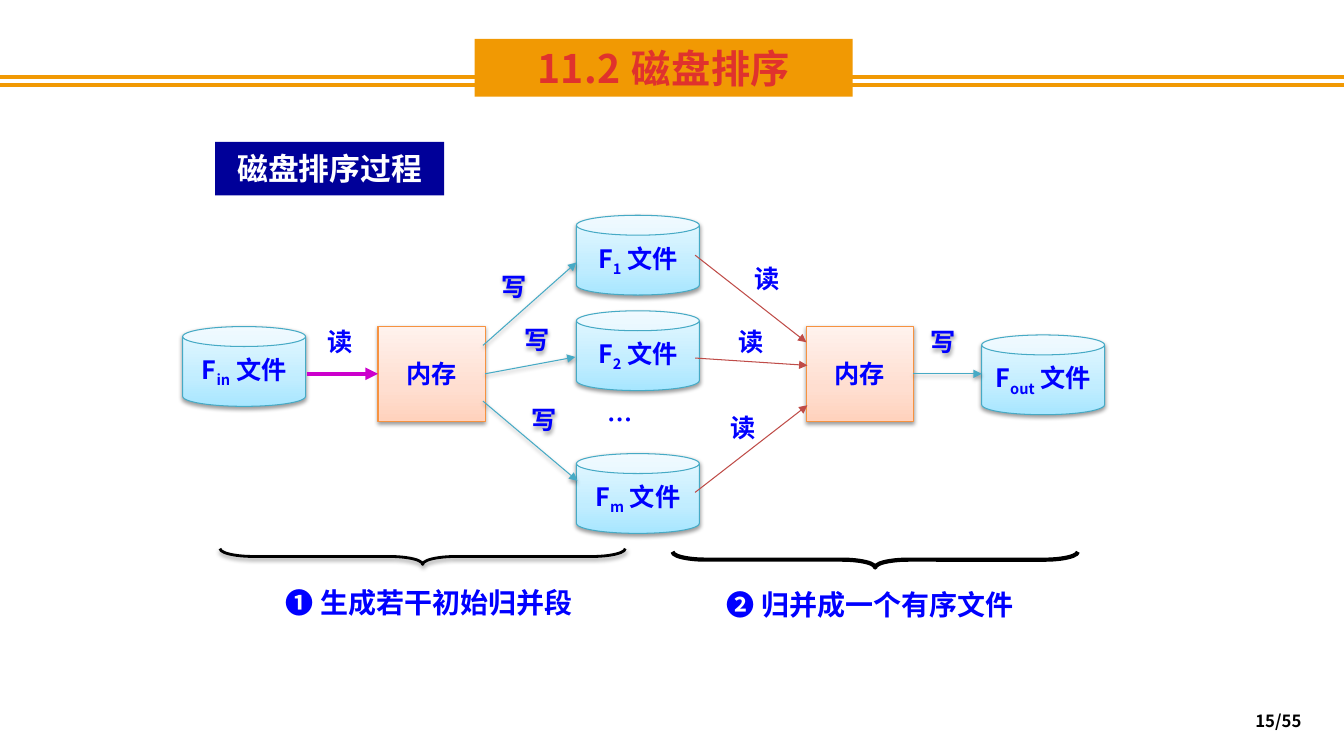
from lxml import etree
from pptx import Presentation
from pptx.dml.color import RGBColor
from pptx.enum.shapes import MSO_CONNECTOR, MSO_SHAPE
from pptx.enum.text import MSO_ANCHOR, MSO_AUTO_SIZE, PP_ALIGN
from pptx.oxml.ns import qn
from pptx.util import Emu, Pt

PX = 9525
FONT = "Noto Sans CJK SC"
RECT, CAN, BRACE = MSO_SHAPE.RECTANGLE, MSO_SHAPE.CAN, MSO_SHAPE.RIGHT_BRACE
STRAIGHT = MSO_CONNECTOR.STRAIGHT
CENTER, RIGHT = PP_ALIGN.CENTER, PP_ALIGN.RIGHT
MIDDLE, NO_FIT = MSO_ANCHOR.MIDDLE, MSO_AUTO_SIZE.NONE
SIDE_LEFT, SIDE_RIGHT = 1, 3

COLORS = {
    "orange": "F19903", "title": "E0322D", "navy": "000099", "white": "FFFFFF",
    "text": "0000FF", "black": "000000", "file_line": "46AAC5",
    "memory_line": "F69240", "magenta": "CC00CC", "red": "BF4C48",
}
FILE_STOPS = [(0, "A7E6FF"), (35, "C1EDFF"), (100, "E7F8FF")]
MEMORY_STOPS = [(0, "FFD2BD"), (35, "FFDED0"), (100, "FFF2ED")]


def px(*values):
    return [Emu(v * PX) for v in values]


def rgb(name):
    return RGBColor.from_string(COLORS[name])


def add_color(parent, value):
    return etree.SubElement(parent, qn("a:srgbClr"), val=value)


def add_shadow(effects):
    """Put a soft shadow, falling straight down, into an effect list."""
    shadow = etree.SubElement(effects, qn("a:outerShdw"), blurRad=str(Pt(3.1)),
                              dist=str(Pt(1.6)), dir="5400000", rotWithShape="0")
    etree.SubElement(add_color(shadow, COLORS["black"]), qn("a:alpha"), val="38000")


def shade(sp):
    sp.shadow.inherit = False
    add_shadow(sp._element.spPr.find(qn("a:effectLst")))


def fill_gradient(sp, stops):
    sp.fill.gradient()
    sp.fill.gradient_angle = 90
    stop_list = sp._element.spPr.find(".//" + qn("a:gsLst"))
    stop_list.clear()
    for position, color in stops:
        stop = etree.SubElement(stop_list, qn("a:gs"), pos=str(position * 1000))
        add_color(stop, color)


def write(sp, text, size, color="text", align=CENTER, wrap=False, inset=None):
    """Write one bold paragraph; text is a string or (text, baseline) pairs."""
    tf = sp.text_frame
    tf.word_wrap = wrap
    tf.auto_size = NO_FIT
    tf.vertical_anchor = MIDDLE
    if inset is not None:
        tf.margin_left = tf.margin_right = tf.margin_top = tf.margin_bottom = inset
    p = tf.paragraphs[0]
    p.alignment = align
    for part, baseline in [(text, 0)] if isinstance(text, str) else text:
        r = p.add_run()
        r.text = part
        if baseline:
            r._r.get_or_add_rPr().set("baseline", str(baseline * 1000))
    p.font.size = Pt(size)
    p.font.bold = True
    p.font.name = FONT
    p.font.color.rgb = rgb(color)
    etree.SubElement(p._p.pPr.find(qn("a:defRPr")), qn("a:ea"), typeface=FONT)
    return p


def add_text(slide, box, text, size, **style):
    sp = slide.shapes.add_textbox(*px(*box))
    write(sp, text, size, **style)
    return sp


def add_node(slide, kind, box, stops, line, text):
    sp = slide.shapes.add_shape(kind, *px(*box))
    fill_gradient(sp, stops)
    sp.line.color.rgb = rgb(line)
    sp.line.width = Pt(0.75)
    shade(sp)
    write(sp, text, 18)
    return sp


def add_file(slide, x, y, index):
    text = [("F", 0), (index, -25), (" 文件", 0)]
    add_node(slide, CAN, (x, y, 117, 76), FILE_STOPS, "file_line", text)


def add_memory(slide, x):
    return add_node(slide, RECT, (x, 311, 102, 90), MEMORY_STOPS, "memory_line", "内存")


def add_label(slide, x, y, text, width=45):
    sp = add_text(slide, (x, y, width, 29), text, 18, inset=0)
    if text == "写":
        shade(sp)


def add_line(slide, ends, color, width=0.75, arrow=True, shadow=False):
    c = slide.shapes.add_connector(STRAIGHT, *px(*ends))
    c.line.color.rgb = rgb(color)
    c.line.width = Pt(width)
    spPr = c._element.spPr
    if arrow:
        etree.SubElement(spPr.find(qn("a:ln")), qn("a:tailEnd"), type="triangle")
    effects = etree.SubElement(spPr, qn("a:effectLst"))
    if shadow:
        add_shadow(effects)
    return c


def add_brace(slide, x, y, width, shadow):
    sp = slide.shapes.add_shape(BRACE, *px(x, y, 15, 386))
    sp.rotation = 90
    sp.adjustments[0] = 2.12
    sp.fill.background()
    sp.line.color.rgb = rgb("black")
    sp.line.width = Pt(width)
    sp.shadow.inherit = False
    if shadow:
        add_shadow(sp._element.spPr.find(qn("a:effectLst")))


def add_heading(slide):
    for y in (73, 81):
        add_line(slide, (0, y, 1280, y), "orange", 3, arrow=False)
    title = slide.shapes.title
    title.left, title.top, title.width, title.height = px(452, 37, 360, 55)
    title.fill.solid()
    title.fill.fore_color.rgb = rgb("orange")
    p = write(title, "11.2 磁盘排序", 28, "title")
    p._p.pPr.find(qn("a:defRPr")).set("spc", "50")
    slide.shapes._spTree.append(title._element)  # in front of the lines

    sp = slide.shapes.add_shape(RECT, *px(205, 135, 218, 51))
    sp.fill.solid()
    sp.fill.fore_color.rgb = rgb("navy")
    sp.line.fill.background()
    sp.shadow.inherit = False
    write(sp, "磁盘排序过程", 22, "white")


def add_flow(slide):
    for x, y, index in [(174, 311, "in"), (549, 205, "1"), (549, 296, "2"),
                        (549, 432, "m"), (935, 319, "out")]:
        add_file(slide, x, y, index)
    first, second = add_memory(slide, 360), add_memory(slide, 768)

    add_line(slide, (292, 356, 360, 356), "magenta", 3).end_connect(first, SIDE_LEFT)
    output = add_line(slide, (870, 356, 935, 356), "file_line", shadow=True)
    output.begin_connect(second, SIDE_RIGHT)
    middle = add_line(slide, (462, 356, 548, 340), "file_line", shadow=True)
    middle.begin_connect(first, SIDE_RIGHT)
    for ends in [(460, 329, 549, 250), (460, 382, 550, 458)]:
        add_line(slide, ends, "file_line", shadow=True)
    for ends in [(662, 243, 768, 326), (662, 341, 769, 348), (662, 469, 769, 386)]:
        add_line(slide, ends, "red")

    for x, y in [(301, 311), (708, 251), (693, 311), (685, 393)]:
        add_label(slide, x, y, "读")
    for x, y in [(467, 258), (489, 309), (496, 385), (876, 311)]:
        add_label(slide, x, y, "写")
    add_label(slide, 557, 385, "…", 68)


def add_phases(slide):
    add_brace(slide, 395, 337, 2, shadow=True)
    add_brace(slide, 826, 340, 3, shadow=False)
    add_text(slide, (254, 553, 310, 42), "❶ 生成若干初始归并段", 20)
    add_text(slide, (670, 555, 318, 42), "❷ 归并成一个有序文件", 20)


def main():
    prs = Presentation()
    prs.slide_width, prs.slide_height = px(1280, 720)
    slide = prs.slides.add_slide(prs.slide_layouts[5])
    add_heading(slide)
    add_flow(slide)
    add_phases(slide)
    add_text(slide, (950, 667, 299, 38), "15/55", 12, color="black", align=RIGHT, wrap=True)
    prs.save("out.pptx")


if __name__ == "__main__":
    main()
